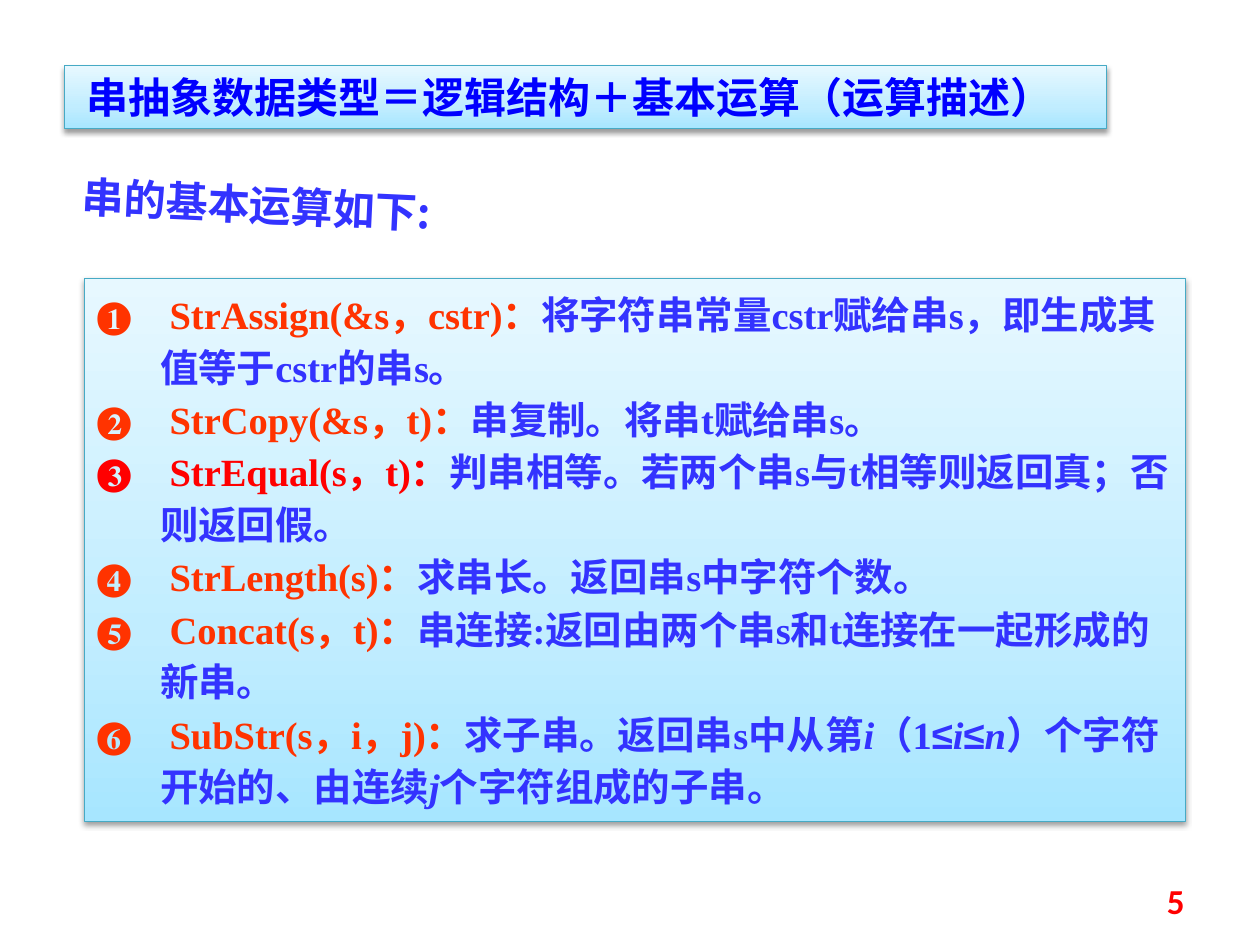
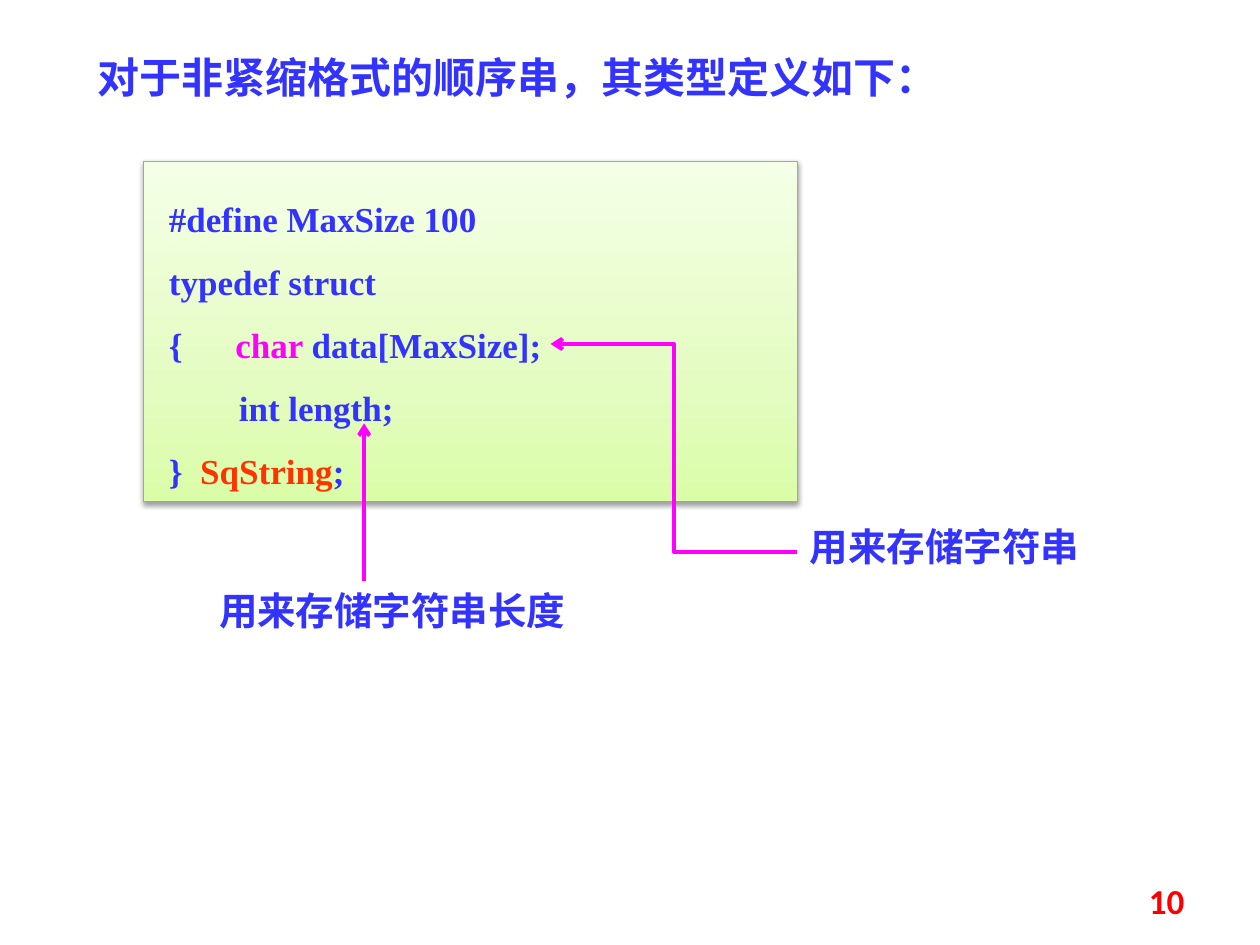
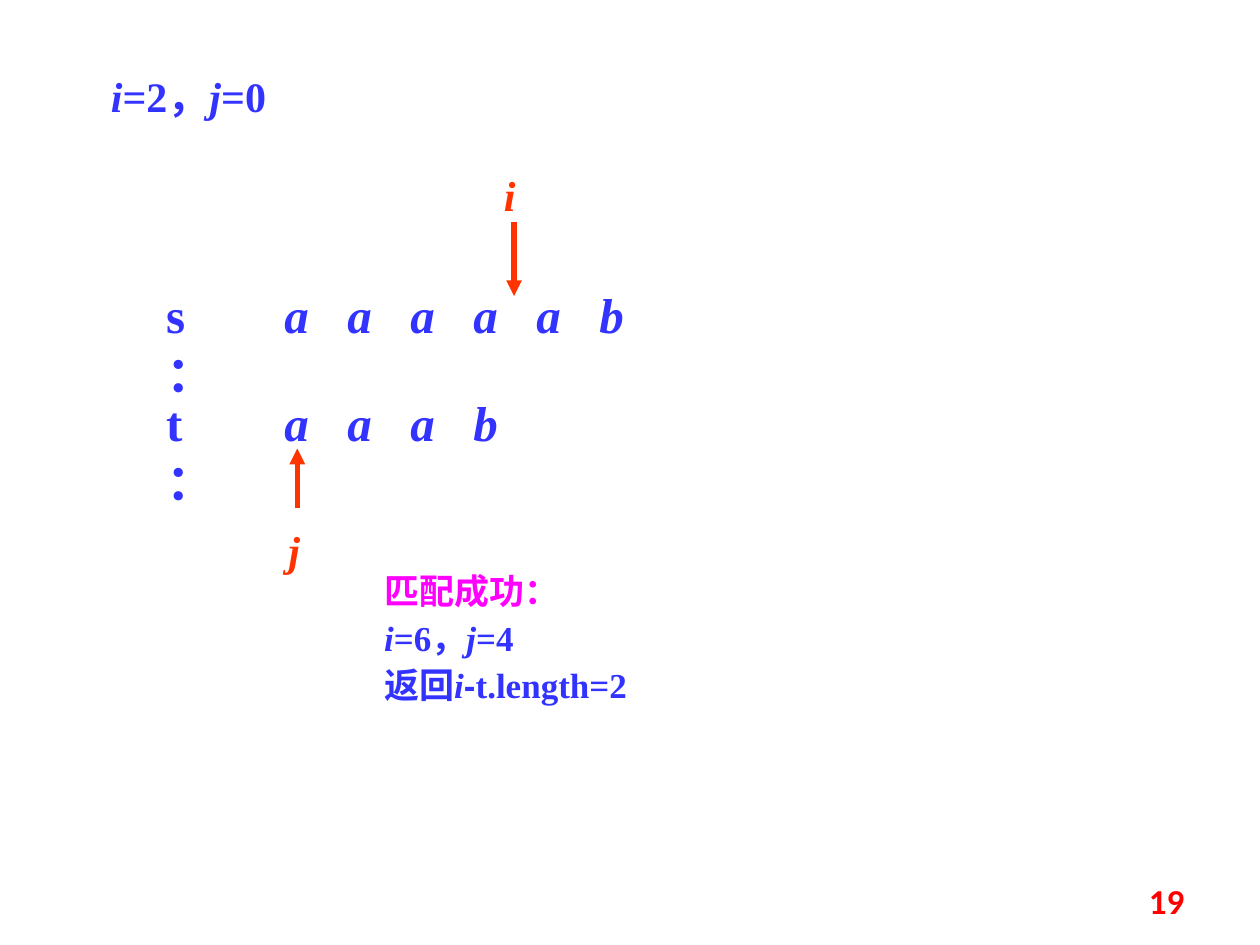
import copy
from dataclasses import dataclass

import pptx
import pptx.dml.color
import pptx.enum.shapes
import pptx.enum.text
import pptx.oxml.ns
import pptx.util
from lxml import etree

Inches = pptx.util.Inches
Pt = pptx.util.Pt
qn = pptx.oxml.ns.qn
Align = pptx.enum.text.PP_ALIGN
Anchor = pptx.enum.text.MSO_ANCHOR
Connector = pptx.enum.shapes.MSO_CONNECTOR


@dataclass(frozen=True)
class Theme:
    serif: str = "Times New Roman"
    chinese: str = "Noto Sans CJK SC"
    symbol: str = "Arial"
    number: str = "Calibri"
    text: str = "3333FF"
    heading: str = "0000FF"
    accent: str = "FF3300"
    red: str = "FF0000"
    magenta: str = "FF00FF"
    blue_panel: tuple = ("A7E6FF", "C1EDFF", "E7F8FF", "46AAC5")
    green_panel: tuple = ("DAFDA7", "E4FCC2", "F5FFE7", "98B955")
    stops: tuple = (0, 0.35, 1)
    letter_size: int = 28
    title_size: int = 24
    list_size: int = 22
    code_size: int = 20


THEME = Theme()
ITALIC = {"italic": True}
SYMBOL = {"name": THEME.symbol}
ACCENT = {"color": THEME.accent}
MAGENTA = {"color": THEME.magenta}
TITLE = {"size": THEME.title_size}
LABEL = {"size": THEME.list_size}
CODE = {"size": THEME.code_size}
LETTER = {"size": THEME.letter_size}


def rgb(value):
    return pptx.dml.color.RGBColor.from_string(value)


class Deck:
    def __init__(self, theme):
        self.theme = theme
        self.presentation = pptx.Presentation()
        self.presentation.slide_width = Inches(10)
        self.presentation.slide_height = Inches(7.5)
        self.slide = None

    def add_slide(self, layout, number):
        layouts = self.presentation.slide_layouts
        self.slide = self.presentation.slides.add_slide(layouts.get_by_name(layout))
        self.text((7.17, 6.95, 2.33, 0.4), [[(str(number), {})]],
                  {**CODE, "name": self.theme.number, "color": self.theme.red},
                  {"alignment": Align.RIGHT}, anchor=Anchor.MIDDLE)

    def place(self, shape, box):
        names = ("left", "top", "width", "height")
        for name, value in zip(names, box):
            setattr(shape, name, Inches(value))

    def set_text(self, shape, paragraphs, font, layout=None, inset=(0.1, 0.05),
                 anchor=Anchor.TOP, hanging=0, tabs=(), gap=0):
        frame = shape.text_frame
        side, end = map(Inches, inset)
        settings = {"word_wrap": True, "auto_size": pptx.enum.text.MSO_AUTO_SIZE.NONE,
                    "vertical_anchor": anchor, "margin_left": side, "margin_right": side,
                    "margin_top": end, "margin_bottom": end}
        for name, value in settings.items():
            setattr(frame, name, value)
        for index, runs in enumerate(paragraphs):
            paragraph = frame.add_paragraph() if index else frame.paragraphs[0]
            spacing = {"alignment": Align.LEFT, "space_before": Pt(gap if index else 0)}
            for name, value in {**spacing, **(layout or {})}.items():
                setattr(paragraph, name, value)
            self.indent(paragraph, hanging, tabs)
            for text, changes in runs:
                self.add_run(paragraph, text, {**font, **changes})

    def indent(self, paragraph, hanging, tabs):
        properties = paragraph._p.get_or_add_pPr()
        properties.set("marL", str(Inches(hanging)))
        properties.set("indent", str(-Inches(hanging)))
        etree.SubElement(properties, qn("a:buNone"))
        if tabs:
            stops = etree.SubElement(properties, qn("a:tabLst"))
            for position in tabs:
                etree.SubElement(stops, qn("a:tab"), pos=str(Inches(position)), algn="l")

    def add_run(self, paragraph, text, changes):
        run = paragraph.add_run()
        run.text = text
        values = {"name": self.theme.serif, "bold": True, "italic": False,
                  "color": self.theme.text, **changes}
        run.font.color.rgb = rgb(values.pop("color"))
        values["size"] = Pt(values["size"])
        for name, value in values.items():
            setattr(run.font, name, value)
        latin = run._r.rPr.find(qn("a:latin"))
        east_asian = etree.Element(qn("a:ea"), typeface=self.theme.chinese)
        latin.addnext(east_asian)

    def text(self, box, paragraphs, font, layout=None, rotation=0, **options):
        shape = self.slide.shapes.add_textbox(*map(Inches, box))
        shape.rotation = rotation
        self.set_text(shape, paragraphs, font, layout, **options)

    def title(self, box, runs, changes=None, layout=None):
        shape = self.slide.shapes.title
        self.place(shape, box)
        self.set_text(shape, [runs], {**TITLE, **(changes or {})}, layout)
        return shape

    def body(self, box, paragraphs, font, layout, **options):
        shape = self.slide.placeholders[1]
        self.place(shape, box)
        self.set_text(shape, paragraphs, font, layout, **options)
        return shape

    def panel(self, box, paragraphs, font, colours, layout, **options):
        rectangle = pptx.enum.shapes.MSO_SHAPE.RECTANGLE
        shape = self.slide.shapes.add_shape(rectangle, *map(Inches, box))
        self.set_text(shape, paragraphs, font, layout, **options)
        self.decorate(shape, colours)

    def decorate(self, shape, colours):
        *gradient, outline = colours
        fill = shape.fill
        fill.gradient()
        fill.gradient_angle = 90
        stops = shape._element.spPr.find(".//" + qn("a:gsLst"))
        stops.insert(1, copy.deepcopy(stops[0]))
        for stop, colour, position in zip(fill.gradient_stops, gradient, self.theme.stops):
            stop.color.rgb = rgb(colour)
            stop.position = position
        shape.line.color.rgb = rgb(outline)
        shape.line.width = Pt(0.75)
        shape.shadow.inherit = False
        effects = shape._element.spPr.find(qn("a:effectLst"))
        shadow = etree.SubElement(effects, qn("a:outerShdw"), blurRad=str(Pt(3.1)),
                                  dist=str(Pt(1.6)), dir="5400000", rotWithShape="0")
        black = etree.SubElement(shadow, qn("a:srgbClr"), val="000000")
        etree.SubElement(black, qn("a:alpha"), val="38000")

    def arrow(self, start, end, colour, width, head, kind=Connector.STRAIGHT):
        connector = self.slide.shapes.add_connector(kind, *map(Inches, start + end))
        connector.line.color.rgb = rgb(colour)
        connector.line.width = Pt(width)
        properties = connector._element.spPr
        etree.SubElement(properties.find(qn("a:ln")), qn("a:tailEnd"), type=head)
        etree.SubElement(properties, qn("a:effectLst"))


def build_operations(deck):
    deck.add_slide("Title and Content", 5)
    deck.text((0.55, 1.39, 3.78, 0.5), [[("串的基本运算如下:", {})]],
              {**TITLE, "name": THEME.chinese}, rotation=2.8)
    operations = [
        ("❶", "StrAssign(&s，cstr)：", [("将字符串常量cstr赋给串s，即生成其值等于cstr的串s。", {})]),
        ("❷", "StrCopy(&s，t)：", [("串复制。将串t赋给串s。", {})]),
        ("❸", "StrEqual(s，t)：", [("判串相等。若两个串s与t相等则返回真；否则返回假。", {})]),
        ("❹", "StrLength(s)：", [("求串长。返回串s中字符个数。", {})]),
        ("❺", "Concat(s，t)：", [("串连接:返回由两个串s和t连接在一起形成的新串。", {})]),
        ("❻", "SubStr(s，i，j)：", [
            ("求子串。返回串s中从第", {}), ("i", ITALIC), ("（1", {}), ("≤", SYMBOL),
            ("i", ITALIC), ("≤", SYMBOL), ("n", ITALIC),
            ("）个字符开始的、由连续", {}), ("j", ITALIC), ("个字符组成的子串。", {})]),
    ]
    paragraphs = []
    for mark, signature, description in operations:
        colour = THEME.red if mark == "❸" else THEME.accent
        paragraphs.append([(f"{mark}\t {signature}", {"color": colour}), *description])
    body = deck.body((0.67, 2.21, 8.74, 4.31), paragraphs, LABEL,
                     {"line_spacing": Pt(30)}, hanging=0.5)
    deck.decorate(body, THEME.blue_panel)
    title = deck.title((0.51, 0.52, 8.27, 0.5),
                       [(" 串抽象数据类型＝逻辑结构＋基本运算（运算描述）", {})],
                       {"name": THEME.chinese, "color": THEME.heading})
    deck.decorate(title, THEME.blue_panel)


def build_type_definition(deck):
    deck.add_slide("Title Only", 10)
    deck.title((0.67, 0.36, 8.46, 0.5), [("对于非紧缩格式的顺序串，其类型定义如下：", {})])
    code = [
        [("#define MaxSize 100", {})],
        [("typedef struct", {})],
        [("{      ", {}), ("char ", MAGENTA), ("data[MaxSize];", {})],
        [("        int length;", {})],
        [("}  ", {}), ("SqString", ACCENT), (";", {})],
    ]
    deck.panel((1.14, 1.28, 5.19, 2.7), code, CODE, THEME.green_panel,
               {"line_spacing": 1.5}, inset=(0.2, 0.12))
    deck.arrow((6.33, 4.38), (4.37, 2.73), THEME.magenta, 2.25, "arrow", Connector.ELBOW)
    deck.text((6.33, 4.1, 2.58, 0.47), [[("用来存储字符串", {})]], LABEL)
    deck.text((1.64, 4.61, 3.52, 0.47), [[("用来存储字符串长度", {})]], LABEL)
    deck.arrow((2.89, 4.61), (2.89, 3.36), THEME.magenta, 2.25, "arrow")


def build_matching(deck):
    deck.add_slide("Title Only", 19)
    deck.title((0.78, 0.62, 2.34, 0.39),
               [("i", ITALIC), ("=2，", {}), ("j", ITALIC), ("=0", {})],
               layout={"line_spacing": 0.7})
    columns = (0.87, 1.75, 2.52, 3.3, 4.17)
    for name, letters, top, width in (("s：", "aaaaab", 2.21, 5.43),
                                      ("t：", "aaab", 3.07, 3.47)):
        deck.text((2.16, top, width, 0.57), [[("\t".join(letters), ITALIC)]],
                  LETTER, tabs=columns[:len(letters) - 1])
        deck.text((1.22, top, 0.47, 0.57), [[(name, {})]], LETTER)
    for name, left, top, start, end in (("i", 3.9, 1.3, (4.08, 1.76), (4.08, 2.35)),
                                        ("j", 2.19, 4.11, (2.36, 4.03), (2.36, 3.56))):
        deck.arrow(start, end, THEME.accent, 3, "triangle")
        deck.text((left, top, 0.5, 0.5), [[(name, ITALIC)]], {**TITLE, **ACCENT})
    result = [
        [("匹配成功：", MAGENTA)],
        [("i", ITALIC), ("=6，", {}), ("j", ITALIC), ("=4", {})],
        [("返回", {}), ("i", ITALIC), ("-", SYMBOL), ("t.length=2", {})],
    ]
    deck.text((2.95, 4.56, 4.02, 1.15), result, CODE, {"line_spacing": 0.7}, gap=10)


def main():
    deck = Deck(THEME)
    build_operations(deck)
    build_type_definition(deck)
    build_matching(deck)
    deck.presentation.save("out.pptx")


if __name__ == "__main__":
    main()
